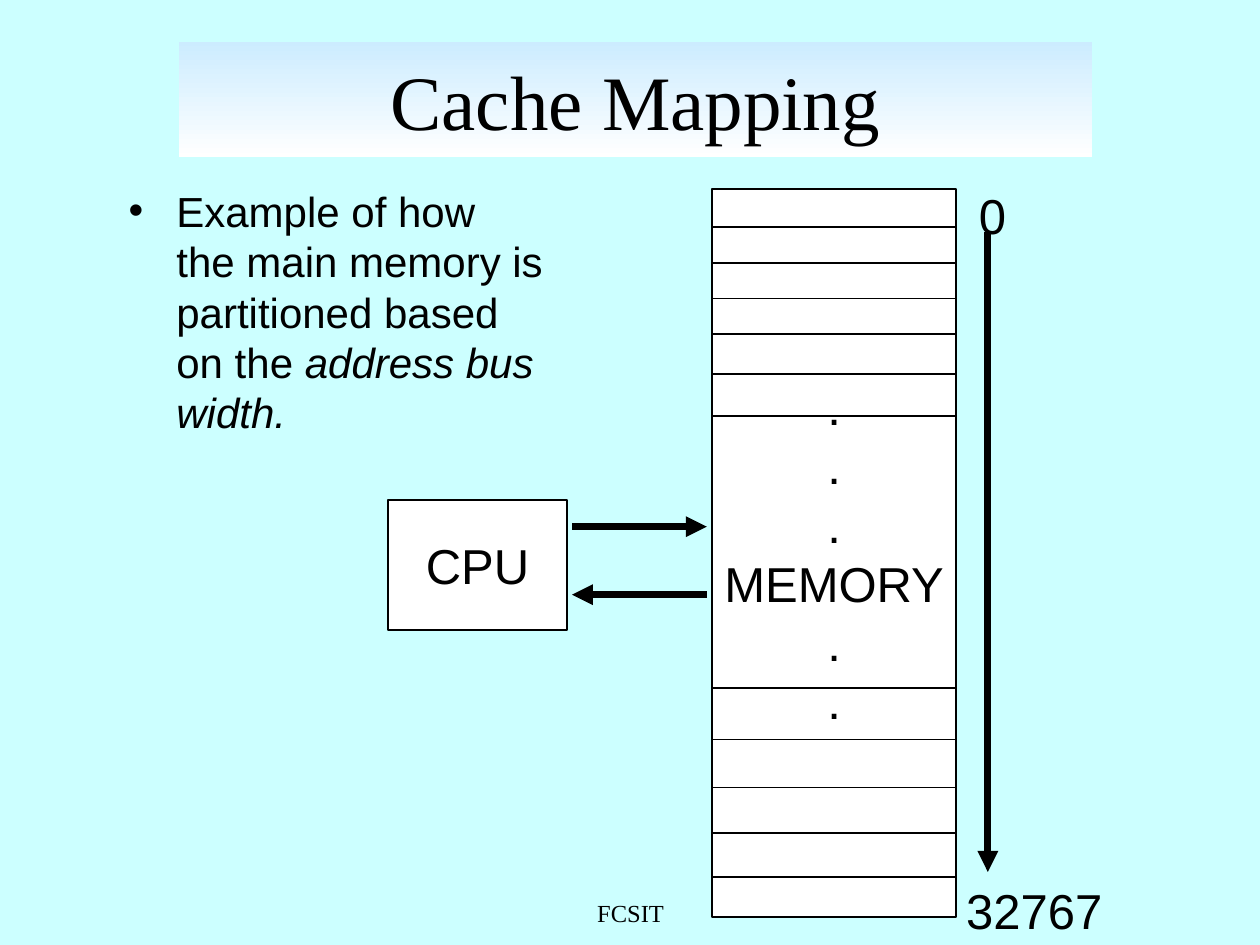
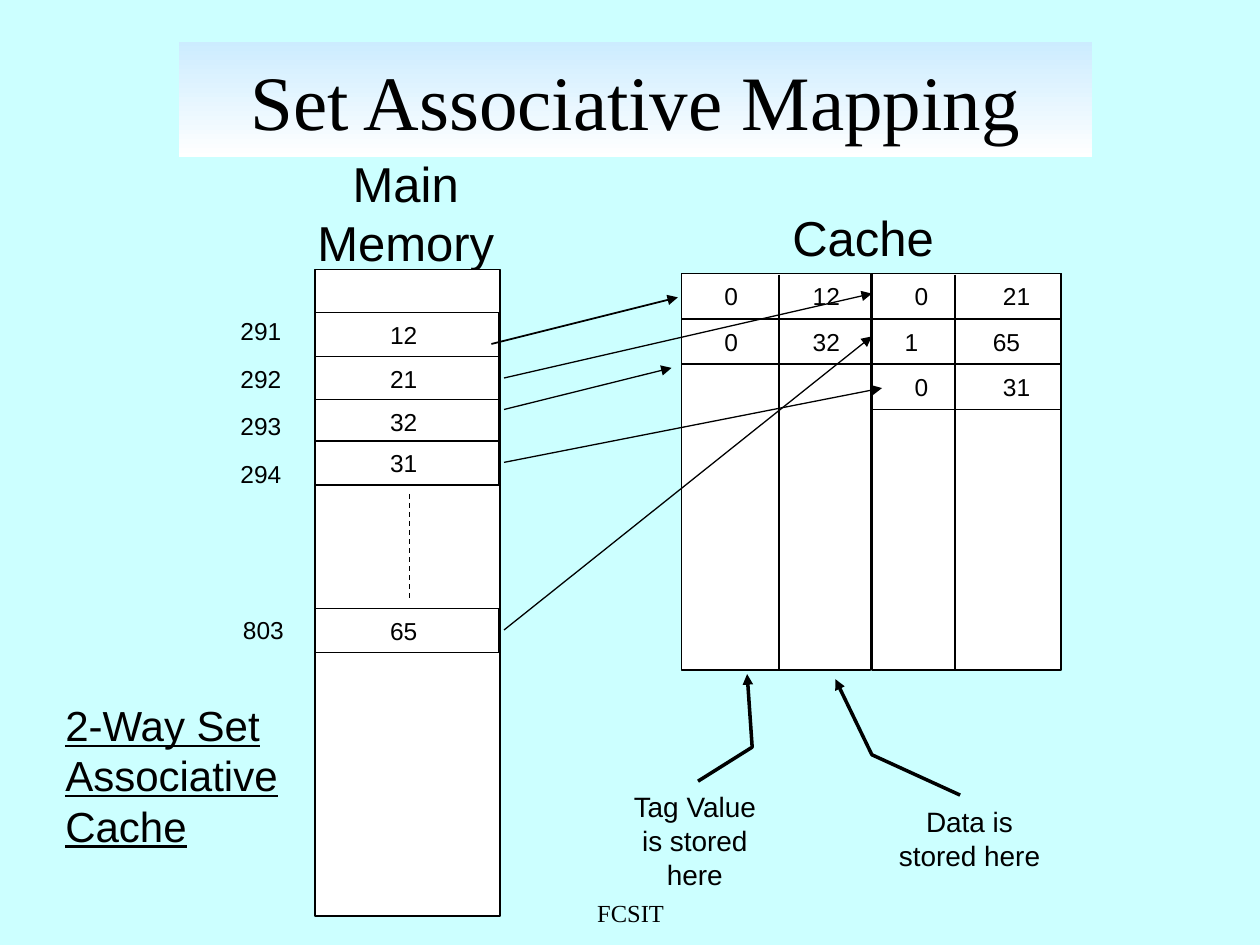
from pptx import Presentation
from pptx.dml.color import RGBColor
from pptx.enum.dml import MSO_LINE
from pptx.enum.shapes import MSO_CONNECTOR, MSO_SHAPE
from pptx.enum.text import MSO_ANCHOR, MSO_AUTO_SIZE, PP_ALIGN
from pptx.oxml.ns import qn
from pptx.util import Emu, Pt
from lxml.etree import SubElement

SCALE = 9144
BLACK = RGBColor(0, 0, 0)
WHITE = RGBColor(255, 255, 255)
AQUA = RGBColor(0xCC, 0xFF, 0xFF)
SKY = RGBColor(0xCC, 0xEC, 0xFF)
SANS = "Arial"
SERIF = "Times New Roman"
LEFT, MID = PP_ALIGN.LEFT, PP_ALIGN.CENTER


def px(num):
    return Emu(num * SCALE)


def move(shape, left, top, width, height):
    shape.left, shape.top = px(left), px(top)
    shape.width, shape.height = px(width), px(height)


def style(frame, size, font=SANS, align=MID, wrap=True):
    frame.auto_size = MSO_AUTO_SIZE.NONE
    frame.word_wrap = wrap
    for para in frame.paragraphs:
        para.alignment = align
        para.line_spacing = 1.0
        para.space_before = Pt(0)
        for run in para.runs:
            run.font.size = Pt(size)
            run.font.name = font
            run.font.color.rgb = BLACK


def label(slide, text, area, size, font=SANS, align=MID, wrap=False):
    box = slide.shapes.add_textbox(*map(px, area))
    box.text_frame.text = text
    style(box.text_frame, size, font, align, wrap)
    return box.text_frame


def block(slide, area, text="", size=28, align=MID, wrap=False):
    box = slide.shapes.add_shape(MSO_SHAPE.RECTANGLE, *map(px, area))
    box.shadow.inherit = False
    box.fill.solid()
    box.fill.fore_color.rgb = WHITE
    box.line.color.rgb = BLACK
    box.line.width = Pt(1)
    frame = box.text_frame
    frame.vertical_anchor = MSO_ANCHOR.MIDDLE
    if text:
        frame.text = text
        style(frame, size, SANS, align, wrap)
    return frame


def ink(shape, width, head=False):
    shape.line.color.rgb = BLACK
    shape.line.width = Pt(width)
    if head:
        SubElement(shape.line._get_or_add_ln(), qn("a:tailEnd"), type="triangle")


def line(slide, start, end, width=1, head=False):
    link = slide.shapes.add_connector(
        MSO_CONNECTOR.STRAIGHT, *map(px, start + end))
    SubElement(link._element.spPr, qn("a:effectLst"))
    ink(link, width, head)
    return link


def pointer(slide, first, *rest):
    form = slide.shapes.build_freeform(*first, scale=SCALE)
    form.add_line_segments(rest, close=False)
    shape = form.convert_to_shape()
    shape.shadow.inherit = False
    shape.fill.background()
    ink(shape, 2, True)


def cell(slide, top, value):
    frame = block(slide, (250, top, 146, 35), value, 14, wrap=True)
    frame.margin_right = px(15)


def pair(slide, left, top, tag, value, lead=34):
    frame = block(slide, (left, top, 150, 36), f"{tag}\t{value}", 14, LEFT, True)
    frame.margin_left = px(lead)
    props = frame.paragraphs[0]._p.get_or_add_pPr()
    tabs = SubElement(props, qn("a:tabLst"))
    SubElement(tabs, qn("a:tab"), pos=str(px(70)), algn="l")


def begin(deck, layout, text):
    slide = deck.slides.add_slide(deck.slide_layouts[layout])
    title = slide.shapes.title
    move(title, 142, 33, 725, 92)
    title.fill.gradient()
    title.fill.gradient_angle = 270
    for stop, color in zip(title.fill.gradient_stops, (SKY, WHITE)):
        stop.color.rgb = color
    title.text_frame.text = text
    title.text_frame.vertical_anchor = MSO_ANCHOR.MIDDLE
    style(title.text_frame, 44, SERIF)
    label(slide, "FCSIT", (342, 708, 317, 25), 14, SERIF, wrap=True)
    return slide


def bullet(slide):
    body = slide.placeholders[1]
    move(body, 92, 142, 350, 233)
    para = body.text_frame.paragraphs[0]
    para.text = "Example of how the main memory is partitioned based on the "
    term = para.add_run()
    term.text = "address bus width."
    term.font.italic = True
    style(body.text_frame, 24, align=LEFT)
    props = para._p.get_or_add_pPr()
    props.set("marL", str(px(38)))
    props.set("indent", str(px(-38)))


def cache_map(deck):
    slide = begin(deck, 1, "Cache Mapping")
    bullet(slide)
    block(slide, (565, 150, 194, 578), ".\n.\n.\nMEMORY\n.\n.")
    block(slide, (308, 397, 142, 103), "CPU")
    line(slide, (454, 418), (561, 418), 4, True)
    line(slide, (561, 472), (454, 472), 4, True)
    label(slide, "0", (767, 142, 41, 56), 28, align=LEFT)
    line(slide, (784, 184), (784, 692), 4, True)
    label(slide, "32767", (757, 694, 128, 56), 28, align=LEFT)
    for top in (180, 209, 237, 265, 297, 330, 546, 587, 625, 661, 696):
        line(slide, (565, top), (759, top))


def set_map(deck):
    slide = begin(deck, 5, "Set Associative Mapping")
    label(slide, "Main\nMemory", (242, 117, 160, 103), 28)
    block(slide, (250, 214, 147, 513))
    for top, value in ((483, "65"), (248, "12"), (283, "21"),
                       (317, "32"), (350, "31")):
        cell(slide, top, value)
    for left, top, text in ((181, 246, "291"), (181, 284, "292"),
                            (181, 321, "293"), (181, 359, "294"),
                            (183, 483, "803")):
        label(slide, text, (left, top, 52, 33), 14, align=LEFT)
    dots = line(slide, (325, 392), (325, 475), 0.75)
    dots.line.dash_style = MSO_LINE.DASH
    note = label(slide, "2-Way Set Associative Cache",
                 (42, 550, 217, 191), 24, align=LEFT, wrap=True)
    note.paragraphs[0].runs[0].font.underline = True

    label(slide, "Cache", (619, 160, 132, 56), 28, align=LEFT)
    for left, split in ((541, 618), (692, 758)):
        block(slide, (left, 217, 150, 315))
        pair(slide, left, 217, "0", "12" if left == 541 else "21")
        if left == 541:
            pair(slide, left, 253, "0", "32")
        else:
            pair(slide, left, 253, "1", "65", 26)
            pair(slide, left, 289, "0", "31")
        line(slide, (split, 218), (split, 532))

    line(slide, (390, 273), (538, 236), 1, True)
    for start, end in (((400, 300), (692, 233)), ((400, 325), (533, 292)),
                       ((400, 367), (700, 308)), ((400, 500), (692, 267))):
        line(slide, start, end, 0.75, True)
    pointer(slide, (554, 620), (597, 593), (593, 535))
    pointer(slide, (762, 631), (692, 599), (663, 539))
    label(slide, "Tag Value is stored here", (485, 622, 133, 90), 16, wrap=True)
    label(slide, "Data is stored here", (696, 634, 147, 63), 16, wrap=True)


def main():
    deck = Presentation()
    deck.slide_width, deck.slide_height = px(1000), px(750)
    back = deck.slide_master.background.fill
    back.solid()
    back.fore_color.rgb = AQUA
    cache_map(deck)
    set_map(deck)
    deck.save("out.pptx")


if __name__ == "__main__":
    main()
